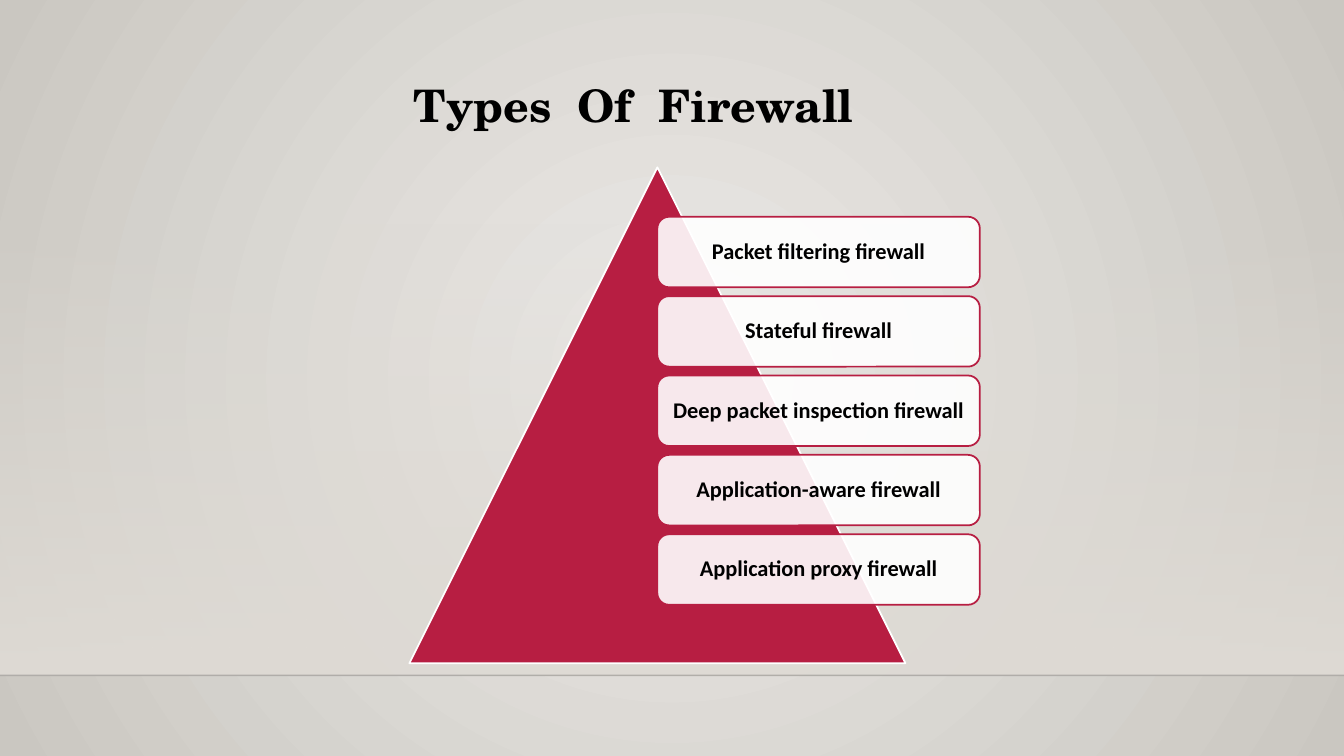
from lxml import etree
from pptx import Presentation
from pptx.dml.color import RGBColor
from pptx.enum.shapes import MSO_CONNECTOR, MSO_SHAPE
from pptx.enum.text import MSO_ANCHOR, MSO_AUTO_SIZE, PP_ALIGN
from pptx.oxml.ns import qn
from pptx.util import Inches, Pt

RECT = MSO_SHAPE.RECTANGLE
ROUND = MSO_SHAPE.ROUNDED_RECTANGLE
PEAK = MSO_SHAPE.ISOSCELES_TRIANGLE
LINE = MSO_CONNECTOR.STRAIGHT
MID = MSO_ANCHOR.MIDDLE
GROW = MSO_AUTO_SIZE.SHAPE_TO_FIT_TEXT
CENTER = PP_ALIGN.CENTER

COLORS = {
    "glow": "ECEAE7",
    "edge": "CAC7C1",
    "floor": "DFDBD5",
    "rule": "000001",
    "red": "B71E42",
    "white": "FFFFFF",
    "black": "000000",
}
TYPES = [
    "Packet filtering firewall",
    "Stateful firewall",
    "Deep packet inspection firewall",
    "Application-aware firewall",
    "Application proxy firewall",
]


class Deck:
    head = "TeX Gyre Schola"
    body = "Calibri"

    def __init__(self):
        self.file = Presentation()
        self.file.slide_width = Inches(13.33)
        self.file.slide_height = Inches(7.5)
        self.slide = self.file.slides.add_slide(self.file.slide_layouts[6])

    def place(self, left, top, width, height):
        wide, high = self.file.slide_width, self.file.slide_height
        return [round(share * size / 100) for share, size in
                zip((left, top, width, height), (wide, high, wide, high))]

    def color(self, name):
        return RGBColor.from_string(COLORS[name])

    def fade(self, node, alpha):
        tint = next(node.iter(qn("a:srgbClr")))
        etree.SubElement(tint, qn("a:alpha"), val=str(alpha * 1000))

    def blend(self, owner, fill, stops, radial=False):
        fill.gradient()
        grad = next(owner.element.iter(qn("a:gradFill")))
        for child in list(grad):
            grad.remove(child)
        row = etree.SubElement(grad, qn("a:gsLst"))
        for pos, name, alpha in stops:
            stop = etree.SubElement(row, qn("a:gs"), pos=str(pos * 1000))
            etree.SubElement(stop, qn("a:srgbClr"), val=COLORS[name])
            self.fade(stop, alpha)
        if radial:
            way = etree.SubElement(grad, qn("a:path"), path="circle")
            sides = dict.fromkeys("ltrb", "50000")
            etree.SubElement(way, qn("a:fillToRect"), sides)
        else:
            etree.SubElement(grad, qn("a:lin"), ang="5400000", scaled="0")

    def paint(self):
        stops = [(0, "glow", 100), (100, "edge", 100)]
        self.blend(self.slide, self.slide.background.fill, stops, True)

    def floor(self, *area):
        shape = self.slide.shapes.add_shape(RECT, *self.place(*area))
        shape.shadow.inherit = False
        shape.line.fill.background()
        stops = [(0, "floor", 0), (100, "floor", 100)]
        self.blend(shape, shape.fill, stops)

    def rule(self, top):
        left, level, right, _ = self.place(0, top, 100, 0)
        line = self.slide.shapes.add_connector(LINE, left, level, right, level)
        line.line.color.rgb = self.color("rule")
        line.line.width = Pt(1)
        props = line.element.spPr
        self.fade(props, 20)
        etree.SubElement(props, qn("a:effectLst"))

    def shape(self, kind, area, fill, edge):
        shape = self.slide.shapes.add_shape(kind, *self.place(*area))
        shape.shadow.inherit = False
        shape.fill.solid()
        shape.fill.fore_color.rgb = self.color(fill)
        shape.line.color.rgb = self.color(edge)
        shape.line.width = Pt(1.25)
        return shape

    def label(self, frame, text, face, size):
        frame.word_wrap = True
        frame.text = text
        para = frame.paragraphs[0]
        para.alignment = CENTER
        font = para.runs[0].font
        font.name = face
        font.size = Pt(size)
        font.bold = True
        font.color.rgb = self.color("black")
        return para

    def title(self, text, *area):
        frame = self.slide.shapes.add_textbox(*self.place(*area)).text_frame
        self.label(frame, text, self.head, 32)
        frame.auto_size = GROW

    def card(self, text, *area):
        card = self.shape(ROUND, area, "white", "red")
        self.fade(card.element.spPr, 90)
        frame = card.text_frame
        frame.vertical_anchor = MID
        frame.margin_left = frame.margin_right = Inches(0.1)
        frame.margin_top = frame.margin_bottom = Inches(0.1)
        self.label(frame, text, self.body, 16).line_spacing = 0.9


def main():
    deck = Deck()
    deck.paint()
    deck.floor(0, 29.47, 100, 59.86)
    deck.rule(89.33)
    deck.title("Types  Of  Firewall", 17.48, 9.6, 59.34, 12.53)
    deck.shape(PEAK, (30.46, 22.13, 36.91, 65.6), "red", "white")
    for row, text in enumerate(TYPES):
        deck.card(text, 48.91, 28.67 + 10.5 * row, 24, 9.33)
    deck.file.save("out.pptx")


if __name__ == "__main__":
    main()
